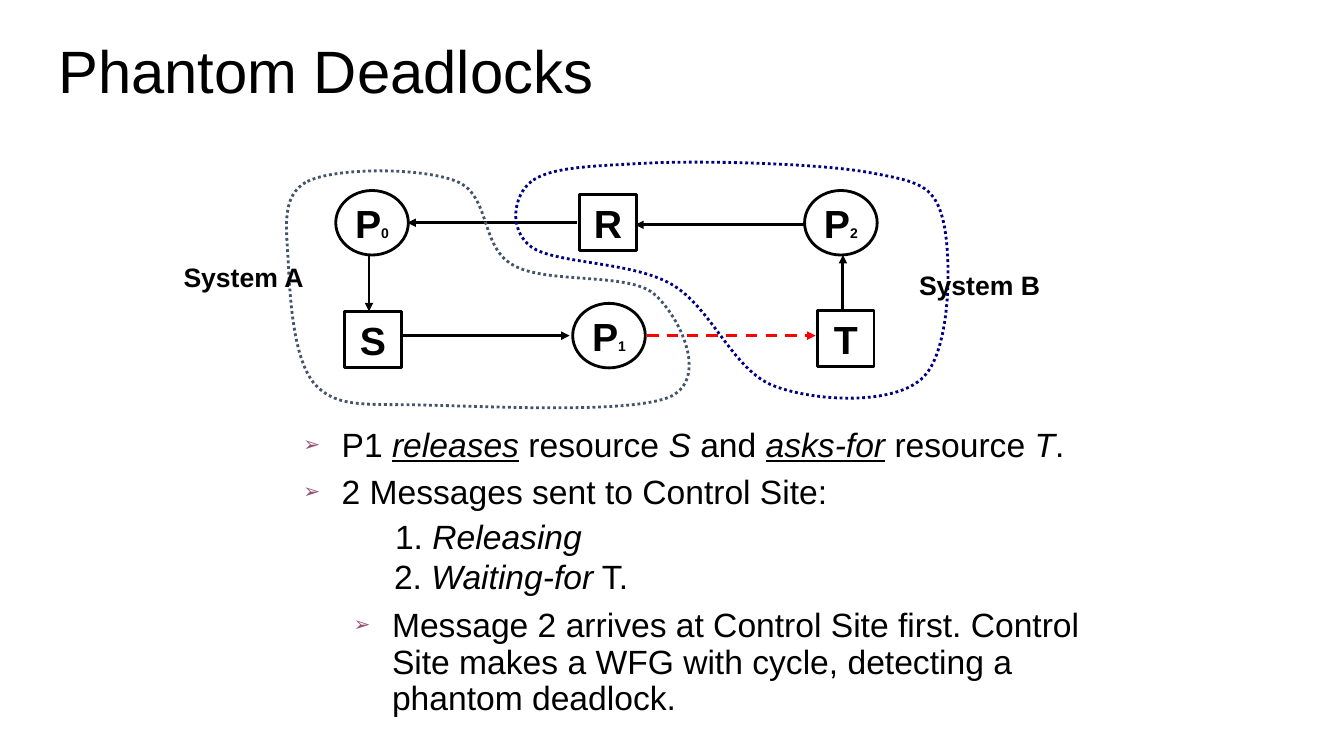
"""Build the Phantom Deadlocks slide: a two-system wait-for graph with notes."""
from lxml import etree
from pptx import Presentation
from pptx import util as u
from pptx.dml.color import RGBColor
from pptx.enum import dml, shapes, text
from pptx.oxml.ns import qn

ITALIC = {"italic": True}
STRESSED = {"italic": True, "underline": True}


def color(value):
    return RGBColor.from_string(value)


def write(frame, runs, size, bold=False, align=None, anchor=None, wrap=True,
          hang=0, spacing=None, bullet=None):
    frame.word_wrap = wrap
    frame.vertical_anchor = anchor
    paragraph = frame.paragraphs[0]
    paragraph.alignment = align
    paragraph.line_spacing = spacing
    if hang:
        properties = paragraph._p.get_or_add_pPr()
        properties.set("marL", str(u.Inches(hang)))
        properties.set("indent", str(-u.Inches(hang)))
    if bullet:
        tint = etree.SubElement(properties, qn("a:buClr"))
        etree.SubElement(tint, qn("a:srgbClr"), val="954F72")
        etree.SubElement(properties, qn("a:buSzPct"), val="60000")
        etree.SubElement(properties, qn("a:buFont"), typeface="Arial")
        etree.SubElement(properties, qn("a:buChar"), char=bullet)
    for words, changes in runs:
        run = paragraph.add_run()
        run.text = words
        run.font.name = "Arial"
        run.font.size = u.Pt(size)
        run.font.bold = bold
        run.font.color.rgb = color("000000")
        for name, value in changes.items():
            setattr(run.font, name, value)


class Diagram:
    """Draws styled elements on one slide."""

    def __init__(self, slide):
        self.shapes = slide.shapes

    def outline(self, line, ink="000000", dash=None):
        line.color.rgb = color(ink)
        line.width = u.Pt(2)
        if dash:
            line.dash_style = dash

    def note(self, left, top, width, height, runs, **style):
        box = self.shapes.add_textbox(*map(u.Inches, (left, top, width, height)))
        write(box.text_frame, runs, **style)

    def node(self, kind, left, top, width, height, runs, fill=None):
        node = self.shapes.add_shape(kind, *map(u.Inches, (left, top, width, height)))
        node.shadow.inherit = False
        if fill:
            node.fill.solid()
            node.fill.fore_color.rgb = color(fill)
        else:
            node.fill.background()
        self.outline(node.line)
        write(node.text_frame, runs, size=28, bold=True, wrap=False,
              align=text.PP_ALIGN.CENTER, anchor=text.MSO_ANCHOR.MIDDLE)

    def process(self, left, top, number):
        self.node(shapes.MSO_SHAPE.OVAL, left, top, 0.72, 0.64,
                  [("P", {}), (number, {"size": u.Pt(10)})], "FFFFFF")

    def resource(self, left, top, letter):
        self.node(shapes.MSO_SHAPE.RECTANGLE, left, top, 0.56, 0.56, [(letter, {})])

    def arrow(self, x1, y1, x2, y2, ink="000000", dash=None):
        arrow = self.shapes.add_connector(
            shapes.MSO_CONNECTOR.STRAIGHT, *map(u.Inches, (x1, y1, x2, y2)))
        self.outline(arrow.line, ink, dash)
        etree.SubElement(arrow.line._get_or_add_ln(), qn("a:tailEnd"), type="triangle")
        etree.SubElement(arrow._element.spPr, qn("a:effectLst"))

    def boundary(self, points, ink):
        """Draw a closed curve: a start, then two handles and an end per cubic."""
        first, *rest = [tuple(map(u.Inches, point)) for point in points]
        builder = self.shapes.build_freeform(*first)
        builder.add_line_segments(rest, close=True)
        region = builder.convert_to_shape()
        segments = list(region._element.iter(qn("a:lnTo")))
        for index in range(0, len(rest), 3):
            curve = etree.Element(qn("a:cubicBezTo"))
            segments[index].addprevious(curve)
            for segment in segments[index:index + 3]:
                curve.append(segment[0])
                segment.getparent().remove(segment)
        region.shadow.inherit = False
        region.fill.background()
        self.outline(region.line, ink, dml.MSO_LINE.ROUND_DOT)

    def system(self, left, top, width, name):
        self.note(left, top, width, 0.46, [(name, {})], size=19, bold=True, wrap=False,
                  align=text.PP_ALIGN.CENTER, anchor=text.MSO_ANCHOR.MIDDLE)

    def statement(self, left, top, width, height, runs, bullet=None, size=24):
        self.note(left, top, width, height, runs, size=size, hang=0.38,
                  spacing=0.9, bullet=bullet)


def main():
    deck = Presentation()
    deck.slide_width, deck.slide_height = u.Inches(13.33), u.Inches(7.5)
    diagram = Diagram(deck.slides.add_slide(deck.slide_layouts[6]))

    diagram.statement(0.48, 0.37, 6.36, 1.33, [("Phantom Deadlocks", {})], size=42.7)

    for process in ((3.33, 1.89, "0"), (7.98, 1.89, "2"), (5.68, 3.01, "1")):
        diagram.process(*process)
    for resource in ((5.75, 1.93, "R"), (3.42, 3.09, "S"), (8.11, 3.08, "T")):
        diagram.resource(*resource)
    for edge in ((3.66, 2.53, 3.66, 3.09), (3.98, 3.33, 5.65, 3.33),
                 (8.36, 3.09, 8.36, 2.53), (7.98, 2.23, 6.3, 2.23),
                 (5.72, 2.21, 4.04, 2.21)):
        diagram.arrow(*edge)
    diagram.arrow(6.42, 3.33, 8.09, 3.33, "FF0000", dml.MSO_LINE.DASH)

    diagram.boundary([
        (5.27, 1.8),
        (5.09, 1.94), (5.04, 2.28), (5.27, 2.45),
        (5.51, 2.62), (6.26, 2.59), (6.66, 2.82),
        (7.06, 3.05), (7.27, 3.68), (7.68, 3.83),
        (8.1, 3.99), (8.89, 4.02), (9.16, 3.74),
        (9.44, 3.46), (9.44, 2.51), (9.35, 2.17),
        (9.26, 1.83), (9.1, 1.8), (8.61, 1.71),
        (8.11, 1.62), (6.94, 1.59), (6.39, 1.62),
        (5.83, 1.65), (5.46, 1.66), (5.27, 1.8)], "000080")
    diagram.boundary([
        (3.05, 1.8),
        (3.33, 1.66), (4.19, 1.66), (4.53, 1.8),
        (4.87, 1.94), (4.76, 2.45), (5.09, 2.63),
        (5.41, 2.82), (6.22, 2.7), (6.48, 2.91),
        (6.74, 3.13), (7.03, 3.74), (6.66, 3.93),
        (6.29, 4.11), (4.84, 4.03), (4.25, 4.02),
        (3.67, 4), (3.37, 4.06), (3.14, 3.83),
        (2.91, 3.6), (2.88, 2.97), (2.86, 2.63),
        (2.85, 2.3), (2.77, 1.94), (3.05, 1.8)], "44546A")
    diagram.system(1.44, 2.52, 1.95, "System A")
    diagram.system(8.51, 2.6, 2.41, "System B")

    diagram.statement(2.91, 4.2, 8.05, 0.4, [
        ("P1 ", {}), ("releases", STRESSED), (" ", ITALIC), ("resource ", {}),
        ("S ", ITALIC), ("and ", {}), ("asks-for", STRESSED), (" ", ITALIC),
        ("resource ", {}), ("T", ITALIC), (".", {})], "➢")
    diagram.statement(2.91, 4.67, 6.75, 0.4,
                      [("2 Messages sent to Control Site:", {})], "➢")
    diagram.statement(3.82, 5.11, 2.34, 0.4, [("1. ", {}), ("Releasing", ITALIC)])
    diagram.statement(3.81, 5.51, 2.71, 0.4,
                      [("2. ", {}), ("Waiting-for", ITALIC), (" T.", {})])
    diagram.statement(3.41, 5.99, 7.92, 1.17, [
        ("Message 2 arrives at Control Site first. Control Site makes a WFG "
         "with cycle, detecting a phantom deadlock.", {})], "➢")

    deck.save("out.pptx")


if __name__ == "__main__":
    main()
